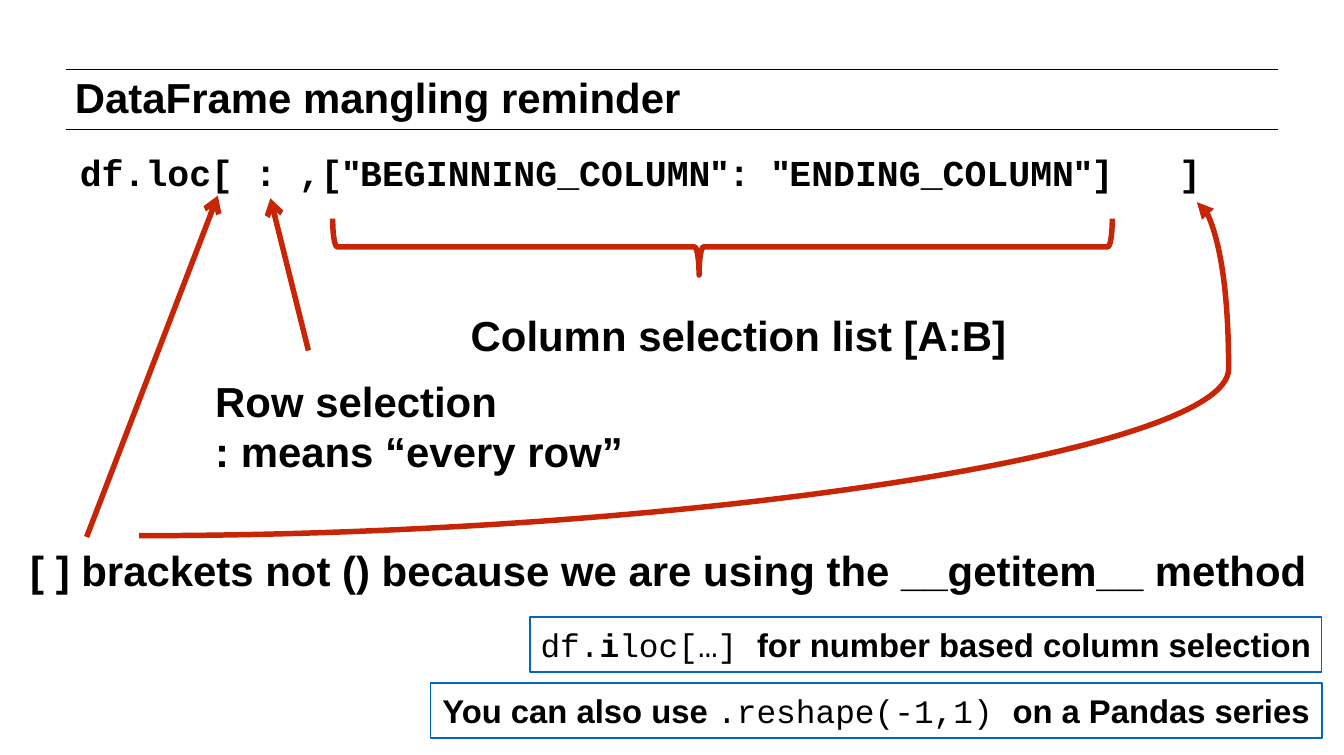
from dataclasses import dataclass
from typing import Optional

from pptx import Presentation
from pptx.dml.color import RGBColor
from pptx.enum.shapes import MSO_CONNECTOR as Link, MSO_SHAPE as Preset
from pptx.enum.text import MSO_ANCHOR as Anchor, MSO_AUTO_SIZE as AutoSize, PP_ALIGN as Align
from pptx.oxml.ns import qn
from pptx.shapes.connector import Connector
from pptx.slide import Slide
from pptx.util import Inches, Length, Pt


@dataclass(frozen=True)
class Theme:
    ink: RGBColor = RGBColor(0x00, 0x00, 0x00)
    accent: RGBColor = RGBColor(0xC8, 0x25, 0x06)
    frame: RGBColor = RGBColor(0x03, 0x65, 0xC0)
    sans: str = "Arial"
    mono: str = "Courier New"
    heading: int = 23
    code: int = 20
    note: int = 18
    rule_width: float = 0.5
    frame_width: float = 1
    arrow_width: float = 3
    inset: float = 0.6


THEME = Theme()
COLUMNS, ROWS = 102.4, 57.5


def grid(cells: float) -> Length:
    """Turn a count of grid columns or rows into a length; cells are 0.1 inch square."""
    return Inches(cells / 10)


@dataclass(frozen=True)
class Span:
    text: str
    font: str = THEME.sans
    bold: bool = True


@dataclass(frozen=True)
class TextBox:
    column: float
    row: float
    columns: float
    rows: float
    lines: list[list[Span]]
    size: int = THEME.heading
    align: Align = Align.LEFT
    anchor: Anchor = Anchor.MIDDLE
    framed: bool = False
    spacing: Optional[int] = None  # a fixed line pitch in points also makes the box wrap
    indent: float = 0


@dataclass(frozen=True)
class Line:
    start: tuple[float, float]
    end: tuple[float, float]
    head: Optional[str] = None
    bend: Optional[float] = None
    color: RGBColor = THEME.accent
    width: float = THEME.arrow_width


def code(text: str, bold: bool = True) -> Span:
    return Span(text, THEME.mono, bold)


QUOTE = Span('"')
RULES = [Line((5, row), (97.4, row), color=THEME.ink, width=THEME.rule_width)
         for row in (5.3, 9.9)]
ARROWS = [
    Line((23.5, 26.7), (20.6, 15.1), "arrow"),
    Line((6.6, 40.9), (16.6, 14.9), "arrow"),
    Line((10.6, 40.8), (91.2, 15.4), "triangle", bend=1.03),
]
BOXES = [
    TextBox(5.1, 5.5, 86.1, 4.4, [[Span("DataFrame mangling reminder")]],
            anchor=Anchor.TOP, spacing=23),
    TextBox(5.1, 10.8, 92.2, 7.1, [[
        code("df.loc[ : ,["), QUOTE, code("BEGINNING_COLUMN"), QUOTE, code(": "),
        QUOTE, code("ENDING_COLUMN"), QUOTE, code("]   ]"),
    ]], size=THEME.code, anchor=Anchor.TOP, spacing=24, indent=0.4),
    TextBox(35.2, 23, 42.2, 5, [[Span("Column selection list [A:B]")]], align=Align.CENTER),
    TextBox(15.8, 28, 32.4, 8.9, [
        [Span("Row selection")],
        [Span(": means “every row”")],
    ], anchor=Anchor.TOP),
    TextBox(1.7, 40.9, 99.1, 5,
            [[Span("[ ] brackets not () because we are using the __getitem__ method")]]),
    TextBox(40.4, 47, 60.3, 4.2, [[
        code("df.", False), code("i"), code("loc[…] ", False),
        Span("for number based column selection"),
    ]], size=THEME.note, align=Align.CENTER, framed=True),
    TextBox(32.8, 52, 67.9, 4.2, [[
        Span("You can also use "), code(".reshape(-1,1) ", False),
        Span("on a Pandas series"),
    ]], size=THEME.note, align=Align.CENTER, framed=True),
]


def draw_box(page: Slide, box: TextBox) -> None:
    place = [grid(cells) for cells in (box.column, box.row, box.columns, box.rows)]
    if box.framed:
        shape = page.shapes.add_shape(Preset.RECTANGLE, *place)
        shape.shadow.inherit = False
        shape.fill.background()
        shape.line.color.rgb = THEME.frame
        shape.line.width = Pt(THEME.frame_width)
    else:
        shape = page.shapes.add_textbox(*place)
    frame = shape.text_frame
    frame.word_wrap = box.spacing is not None
    frame.auto_size = AutoSize.NONE if box.spacing else AutoSize.SHAPE_TO_FIT_TEXT
    frame.vertical_anchor = box.anchor
    frame.margin_left = grid(THEME.inset + box.indent)
    frame.margin_right = frame.margin_top = frame.margin_bottom = grid(THEME.inset)
    for number, spans in enumerate(box.lines):
        para = frame.add_paragraph() if number else frame.paragraphs[0]
        para.alignment = box.align
        if box.spacing:
            para.line_spacing = Pt(box.spacing)
        for span in spans:
            run = para.add_run()
            run.text = span.text
            run.font.name = span.font
            run.font.size = Pt(box.size)
            run.font.bold = span.bold
            run.font.color.rgb = THEME.ink


def finish_connector(connector: Connector, line: Line) -> None:
    """Set the bend and arrowhead and remove the shadow."""
    properties = connector.element.spPr
    if line.bend is not None:
        guides = properties.find(qn("a:prstGeom")).get_or_add_avLst()
        guide = guides.makeelement(qn("a:gd"), {
            "name": "adj1", "fmla": f"val {round(line.bend * 100000)}"})
        guides.append(guide)
    if line.head:
        outline = properties.find(qn("a:ln"))
        outline.append(outline.makeelement(qn("a:tailEnd"), {"type": line.head}))
    properties.append(properties.makeelement(qn("a:effectLst"), {}))


def draw_line(page: Slide, line: Line) -> None:
    kind = Link.STRAIGHT if line.bend is None else Link.CURVE
    ends = [grid(cells) for cells in (*line.start, *line.end)]
    connector = page.shapes.add_connector(kind, *ends)
    connector.line.color.rgb = line.color
    connector.line.width = Pt(line.width)
    finish_connector(connector, line)


def draw_column_brace(page: Slide) -> None:
    brace = page.shapes.add_shape(
        Preset.LEFT_BRACE, grid(52.9), grid(-10.9), grid(4.3), grid(59.4))
    brace.rotation = 270
    brace.adjustments[0] = 0.08
    brace.adjustments[1] = 0.47
    brace.shadow.inherit = False
    brace.fill.background()
    brace.line.color.rgb = THEME.accent
    brace.line.width = Pt(THEME.arrow_width)


def main() -> None:
    deck = Presentation()
    deck.slide_width, deck.slide_height = grid(COLUMNS), grid(ROWS)
    page = deck.slides.add_slide(deck.slide_layouts[6])
    for line in RULES + ARROWS:
        draw_line(page, line)
    draw_column_brace(page)
    for box in BOXES:
        draw_box(page, box)
    deck.save("out.pptx")


if __name__ == "__main__":
    main()
